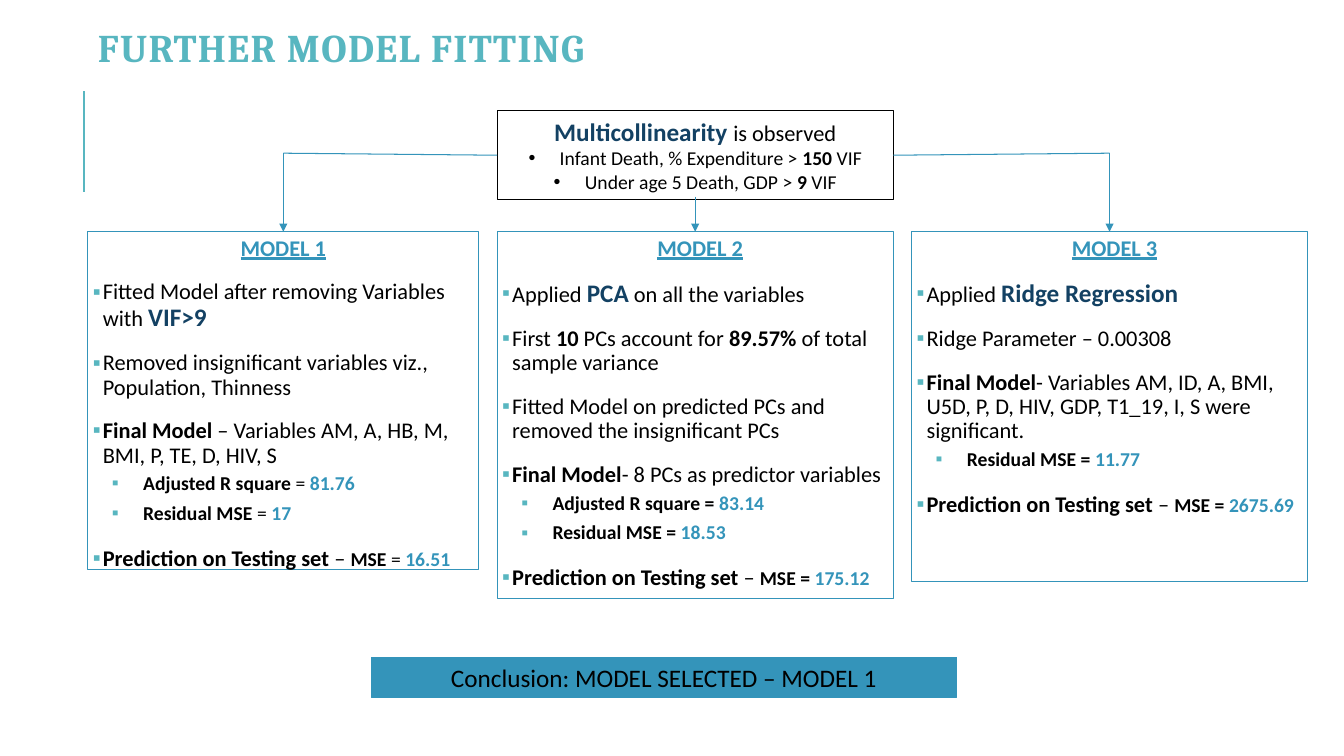
from dataclasses import dataclass
from lxml import etree
from pptx import Presentation
from pptx.dml.color import RGBColor
from pptx.enum.shapes import MSO_CONNECTOR, MSO_SHAPE
from pptx.enum.text import MSO_ANCHOR, MSO_AUTO_SIZE, PP_ALIGN
from pptx.oxml.ns import qn
from pptx.util import Inches, Pt


@dataclass(frozen=True)
class Theme:
    """Colours, fonts and type sizes of the slide."""
    teal: str = "58B6C0"
    blue: str = "3494BA"
    navy: str = "134163"
    black: str = "000000"
    body: str = "Calibri"
    heading: str = "Cambria"
    title: int = 28
    large: int = 18
    normal: int = 16
    small: int = 14


T = Theme()


def style(size, color=T.black, bold=False, underline=False, name=T.body):
    """Return the font values of one run style."""
    return {"size": Pt(size), "color": color, "bold": bold,
            "underline": underline, "name": name}


STYLES = {
    "title": style(T.title, T.teal, True, name=T.heading),
    "head": style(T.normal, T.blue, True, True),
    "text": style(T.normal),
    "bold": style(T.normal, bold=True),
    "key": style(T.large, T.navy, True),
    "small": style(T.small),
    "strong": style(T.small, bold=True),
    "value": style(T.small, T.blue, True),
    "conclusion": style(T.large),
}

SPACED = {"line_spacing": 0.9, "space_before": Pt(12), "space_after": Pt(2)}
TIGHT = {"line_spacing": 0.9, "space_before": Pt(2), "space_after": Pt(4), "level": 1}
PLAIN = {"line_spacing": 1.0, "space_before": Pt(0), "space_after": Pt(0),
         "alignment": PP_ALIGN.CENTER}
KINDS = {  # paragraph format, left margin, first-line indent, bullet, bullet colour
    "title": ({**PLAIN, "line_spacing": 0.7, "alignment": PP_ALIGN.LEFT}, 0, 0, None, None),
    "head": ({**SPACED, "alignment": PP_ALIGN.CENTER}, 0, 0, None, None),
    "inset head": ({**SPACED, "alignment": PP_ALIGN.CENTER}, 0.1, -0.1, " ", T.teal),
    "item": ({**SPACED, "alignment": PP_ALIGN.LEFT}, 0.1, -0.1, "▪", T.teal),
    "sub": ({**TIGHT, "alignment": PP_ALIGN.LEFT}, 0.5, -0.31, "▪", T.teal),
    "plain": (PLAIN, 0, 0, None, None),
    "dot": (PLAIN, 0.31, -0.31, "•", T.black),
}

PREDICTION = [("Prediction on Testing set ", "bold"), ("– ", "text")]
MODELS = [
    ((0.87, 2.3, 3.88, 3.35), [
        ("head", [("MODEL 1", "head")]),
        ("item", [("Fitted Model after removing Variables with ", "text"), ("VIF>9", "key")]),
        ("item", [("Removed insignificant variables viz., Population, Thinness", "text")]),
        ("item", [("Final Model ", "bold"),
                  ("– Variables AM, A, HB, M, BMI, P, TE, D, HIV, S", "text")]),
        ("sub", [("Adjusted R square ", "strong"), ("= ", "small"), ("81.76", "value")]),
        ("sub", [("Residual MSE ", "strong"), ("= ", "small"), ("17", "value")]),
        ("item", PREDICTION + [("MSE", "strong"), (" = ", "small"), ("16.51", "value")]),
    ]),
    ((4.93, 2.3, 3.93, 3.64), [
        ("inset head", [("MODEL 2", "head")]),
        ("item", [("Applied ", "text"), ("PCA", "key"), (" on all the variables", "text")]),
        ("item", [("First ", "text"), ("10", "bold"), (" PCs account for ", "text"),
                  ("89.57%", "bold"), (" of total sample variance", "text")]),
        ("item", [("Fitted Model on predicted PCs and removed the insignificant PCs", "text")]),
        ("item", [("Final Model", "bold"), ("- 8 PCs as predictor variables", "text")]),
        ("sub", [("Adjusted R square = ", "strong"), ("83.14", "value")]),
        ("sub", [("Residual MSE = ", "strong"), ("18.53", "value")]),
        ("item", PREDICTION + [("MSE = ", "strong"), ("175.12", "value")]),
    ]),
    ((9.04, 2.3, 3.93, 3.47), [
        ("inset head", [("MODEL 3", "head")]),
        ("item", [("Applied ", "text"), ("Ridge Regression", "key")]),
        ("item", [("Ridge Parameter – 0.00308", "text")]),
        ("item", [("Final Model", "bold"),
                  ("- Variables AM, ID, A, BMI, U5D, P, D, HIV, GDP, T1_19, I, S "
                   "were significant.", "text")]),
        ("sub", [("Residual MSE = ", "strong"), ("11.77", "value")]),
        ("item", PREDICTION + [("MSE = ", "strong"), ("2675.69", "value")]),
    ]),
]
FINDING = [
    ("plain", [("Multicollinearity ", "key"), ("is observed", "text")]),
    ("dot", [("Infant Death, % Expenditure > ", "small"), ("150 ", "strong"), ("VIF", "small")]),
    ("dot", [("Under age 5 Death, GDP > ", "small"), ("9", "strong"), (" VIF", "small")]),
]


def place(sp, box):
    """Move a shape to a box given in inches."""
    for name, value in zip(("left", "top", "width", "height"), box):
        setattr(sp, name, Inches(value))


def set_indent(p, margin, indent, bullet, color):
    """Set the margins and bullet of a paragraph."""
    pPr = p._p.get_or_add_pPr()
    pPr.set("marL", str(Inches(margin)))
    pPr.set("indent", str(Inches(indent)))
    if bullet is None:
        etree.SubElement(pPr, qn("a:buNone"))
        return
    clr = etree.SubElement(pPr, qn("a:buClr"))
    etree.SubElement(clr, qn("a:srgbClr"), val=color)
    etree.SubElement(pPr, qn("a:buFont"), typeface="Arial")
    etree.SubElement(pPr, qn("a:buChar"), char=bullet)


def write(sp, paragraphs, inset=0.1, anchor=MSO_ANCHOR.TOP):
    """Fill a shape with paragraphs of styled runs."""
    tf = sp.text_frame
    frame = {"word_wrap": True, "auto_size": MSO_AUTO_SIZE.NONE, "vertical_anchor": anchor,
             "margin_left": Inches(inset), "margin_right": Inches(inset),
             "margin_top": Inches(0.05), "margin_bottom": Inches(0.05)}
    for name, value in frame.items():
        setattr(tf, name, value)
    for i, (kind, runs) in enumerate(paragraphs):
        p = tf.add_paragraph() if i else tf.paragraphs[0]
        values, *bullet = KINDS[kind]
        for name, value in values.items():
            setattr(p, name, value)
        set_indent(p, *bullet)
        for text, key in runs:
            r = p.add_run()
            r.text = text
            for name, value in STYLES[key].items():
                if name == "color":
                    r.font.color.rgb = RGBColor.from_string(value)
                else:
                    setattr(r.font, name, value)


def outline(sp, color, width=0.75):
    """Give a shape or connector a solid line."""
    sp.line.color.rgb = RGBColor.from_string(color)
    sp.line.width = Pt(width)


def add_line(slide, start, end, color=T.blue, width=0.75, arrow=False):
    """Draw a straight line, with an arrowhead at its end if asked."""
    points = [Inches(v) for v in (*start, *end)]
    sp = slide.shapes.add_connector(MSO_CONNECTOR.STRAIGHT, *points)
    outline(sp, color, width)
    if arrow:
        etree.SubElement(sp.line._get_or_add_ln(), qn("a:tailEnd"), type="triangle")
    etree.SubElement(sp._element.spPr, qn("a:effectLst"))


def add_title(sp, box):
    """Format the slide title."""
    place(sp, box)
    write(sp, [("title", [("FURTHER MODEL FITTING", "title")])], anchor=MSO_ANCHOR.MIDDLE)
    sp.text_frame.paragraphs[0].runs[0]._r.get_or_add_rPr().set("spc", "100")


def add_panel(sp, box, paragraphs, color=T.blue, inset=0.05):
    """Turn a body placeholder into an outlined panel."""
    place(sp, box)
    outline(sp, color)
    write(sp, paragraphs, inset)


def add_branches(slide, box, models):
    """Lead from the finding box down to the model boxes."""
    left, top, width, height = box
    bend, side, bottom = top + 0.42, top + 0.44, models[0][1]
    centers = [x + w / 2 for x, _, w, _ in models]
    starts = (bend, top + height - 0.03, bend)
    for x, y in zip(centers, starts):
        add_line(slide, (x, y), (x, bottom), arrow=True)
    for edge, x in ((left, centers[0]), (left + width, centers[2])):
        add_line(slide, (edge, side), (x, bend))


def add_conclusion(slide, box):
    """Add the filled conclusion bar."""
    sp = slide.shapes.add_shape(MSO_SHAPE.RECTANGLE, *[Inches(v) for v in box])
    sp.shadow.inherit = False
    sp.fill.solid()
    sp.fill.fore_color.rgb = RGBColor.from_string(T.blue)
    outline(sp, T.blue)
    write(sp, [("plain", [("Conclusion: MODEL SELECTED – MODEL 1", "conclusion")])])


prs = Presentation()
prs.slide_width, prs.slide_height = Inches(13.33), Inches(7.5)
slide = prs.slides.add_slide(prs.slide_layouts.get_by_name("Comparison"))
title, *bodies = slide.placeholders
finding_box = (4.93, 1.1, 3.93, 0.88)
add_line(slide, (0.83, 1.9), (0.83, 0.9), T.teal, 1.5)
add_title(title, (0.87, 0.29, 10.35, 0.46))
for sp, (box, paragraphs) in zip(bodies, MODELS):
    add_panel(sp, box, paragraphs)
add_panel(bodies[3], finding_box, FINDING, T.black, 0.1)
add_branches(slide, finding_box, [box for box, _ in MODELS])
add_conclusion(slide, (3.68, 6.52, 5.81, 0.4))
prs.save("out.pptx")
